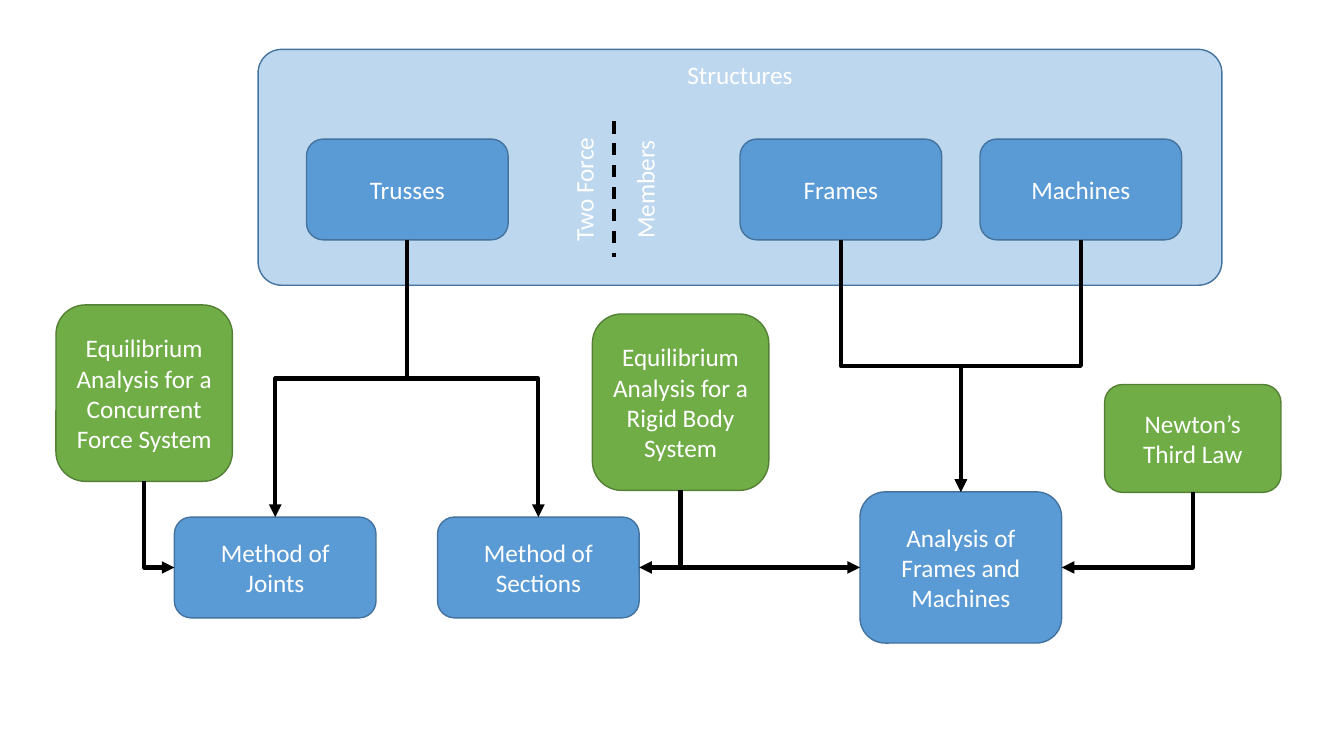
from lxml.etree import SubElement
from pptx import Presentation
from pptx.dml.color import RGBColor
from pptx.enum.dml import MSO_LINE
from pptx.enum.shapes import MSO_CONNECTOR, MSO_SHAPE
from pptx.enum.text import MSO_ANCHOR, PP_ALIGN
from pptx.oxml.ns import qn
from pptx.util import Inches, Pt

TOP, LEFT, BOTTOM, RIGHT = range(4)
TOP_ROW, METHOD_ROW = 1.88, 5.63
STYLES = {
    "group": ("BDD7EE", "43739E"),
    "topic": ("5B9BD5", "43739E"),
    "theory": ("70AD47", "538035"),
}
BOXES = {
    "structures": ("Structures", "group", 7.34, 1.66, 9.56, 2.34),
    "trusses": ("Trusses", "topic", 4.04, TOP_ROW, 2, 1),
    "joints": ("Method of Joints", "topic", 2.73, METHOD_ROW, 2, 1),
    "sections": ("Method of Sections", "topic", 5.34, METHOD_ROW, 2, 1),
    "analysis": ("Analysis of Frames and Machines", "topic", 9.53, METHOD_ROW, 2, 1.5),
    "concurrent": ("Equilibrium Analysis for a Concurrent Force System",
                   "theory", 1.43, 3.9, 1.75, 1.75),
    "rigid": ("Equilibrium Analysis for a Rigid Body System",
              "theory", 6.75, 3.99, 1.75, 1.75),
    "newton": ("Newton’s Third Law", "theory", 11.83, 4.35, 1.75, 1.07),
    "frames": ("Frames", "topic", 8.34, TOP_ROW, 2, 1),
    "machines": ("Machines", "topic", 10.72, TOP_ROW, 2, 1),
}
ARROWS = [
    ("trusses", "joints", TOP),
    ("trusses", "sections", TOP),
    ("concurrent", "joints", LEFT),
    ("frames", "analysis", TOP),
    ("machines", "analysis", TOP),
    ("rigid", "sections", RIGHT),
    ("rigid", "analysis", LEFT),
    ("newton", "analysis", RIGHT),
]
DIVIDER_LABELS = ["Two Force", "Members"]
DIVIDER = (6.09, 1.2, 2.55)
FONT = {"name": "Calibri", "size": Pt(18)}


def rgb(value):
    return RGBColor.from_string(value)


def frame(x, y, w, h):
    return [Inches(v) for v in (x - w / 2, y - h / 2, w, h)]


def write(sp, lines, gap=0, anchor=MSO_ANCHOR.MIDDLE):
    tf = sp.text_frame
    tf.word_wrap = True
    tf.vertical_anchor = anchor
    for i, line in enumerate(lines):
        p = tf.add_paragraph() if i else tf.paragraphs[0]
        p.alignment = PP_ALIGN.CENTER
        if i:
            p.space_before = Pt(gap)
        r = p.add_run()
        r.text = line
        for key, value in FONT.items():
            setattr(r.font, key, value)
        r.font.color.rgb = rgb("FFFFFF")


def add_box(s, text, style, x, y, w, h):
    sp = s.shapes.add_shape(MSO_SHAPE.ROUNDED_RECTANGLE, *frame(x, y, w, h))
    fill, line = STYLES[style]
    sp.shadow.inherit = False
    sp.fill.solid()
    sp.fill.fore_color.rgb = rgb(fill)
    sp.line.color.rgb = rgb(line)
    sp.line.width = Pt(1)
    if style == "group":
        sp.adjustments[0] = 0.1
        sp.text_frame.margin_top = Inches(0.03)
        write(sp, [text], anchor=MSO_ANCHOR.TOP)
    else:
        write(sp, [text])
    return sp


def add_line(s, kind, ends, width):
    c = s.shapes.add_connector(kind, *ends)
    c.line.color.rgb = rgb("000000")
    c.line.width = Pt(width)
    SubElement(c._element.spPr, qn("a:effectLst"))
    return c


def add_arrow(s, start, end, side):
    c = add_line(s, MSO_CONNECTOR.ELBOW, (0, 0, 0, 0), 3)
    c.begin_connect(start, BOTTOM)
    c.end_connect(end, side)
    x1, y1, x2, y2 = c.begin_x, c.begin_y, c.end_x, c.end_y
    w, h = abs(y2 - y1), abs(x2 - x1)
    c.left, c.top = (x1 + x2 - w) // 2, (y1 + y2 - h) // 2
    c.width, c.height = w, h
    xfrm = c._element.spPr.xfrm
    xfrm.flipV = False
    xfrm.flipH = x2 > x1
    xfrm.rot = 270 if x2 > x1 else 90
    if side != TOP:
        c._element.spPr.find(qn("a:prstGeom")).set("prst", "bentConnector2")
    SubElement(c.line._get_or_add_ln(), qn("a:tailEnd"), type="triangle")


def main():
    prs = Presentation()
    prs.slide_width, prs.slide_height = Inches(13.33), Inches(7.5)
    s = prs.slides.add_slide(prs.slide_layouts[6])
    boxes = {name: add_box(s, *box) for name, box in BOXES.items()}

    x, top, bottom = DIVIDER
    label = s.shapes.add_textbox(*frame(x, TOP_ROW, 1.86, 1.1))
    label.rotation = 270
    write(label, DIVIDER_LABELS, gap=22)
    ends = [Inches(v) for v in (x, top, x, bottom)]
    divider = add_line(s, MSO_CONNECTOR.STRAIGHT, ends, 2.25)
    divider.line.dash_style = MSO_LINE.DASH

    for start, end, side in ARROWS:
        add_arrow(s, boxes[start], boxes[end], side)
    prs.save("out.pptx")


if __name__ == "__main__":
    main()
